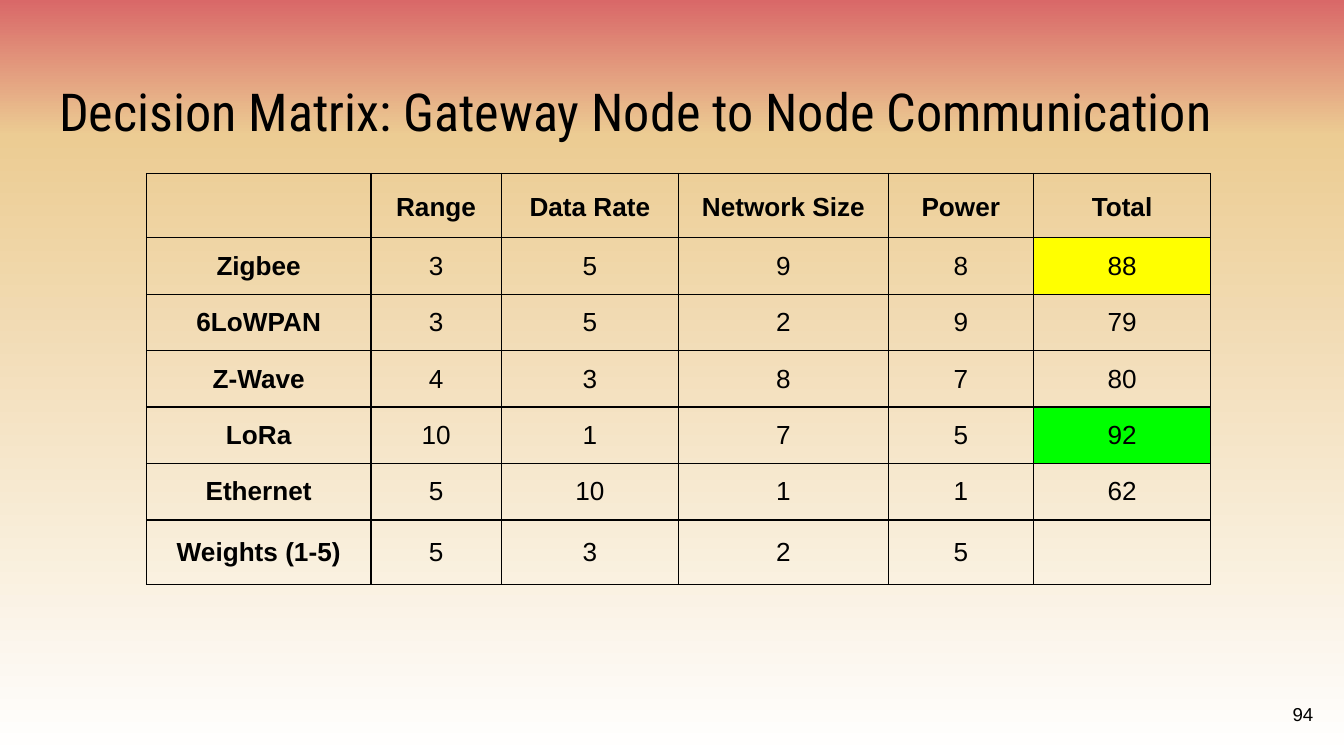
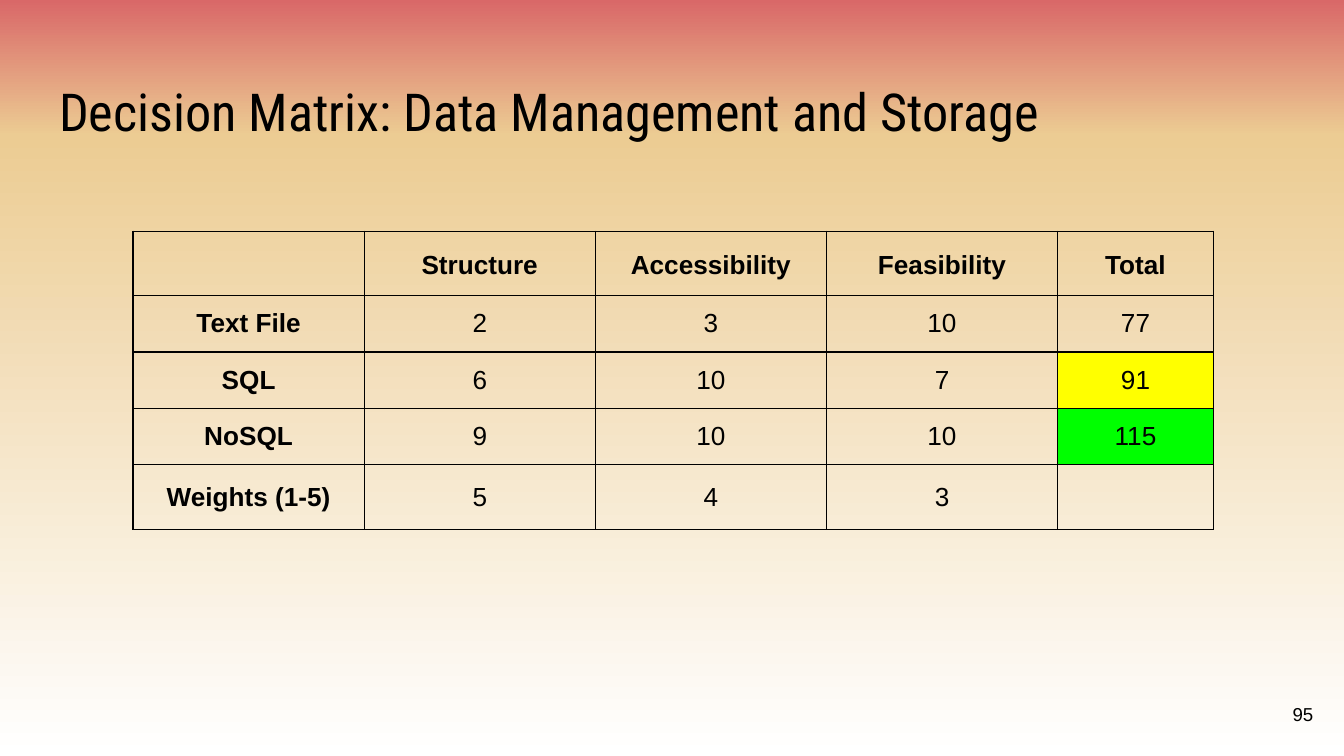
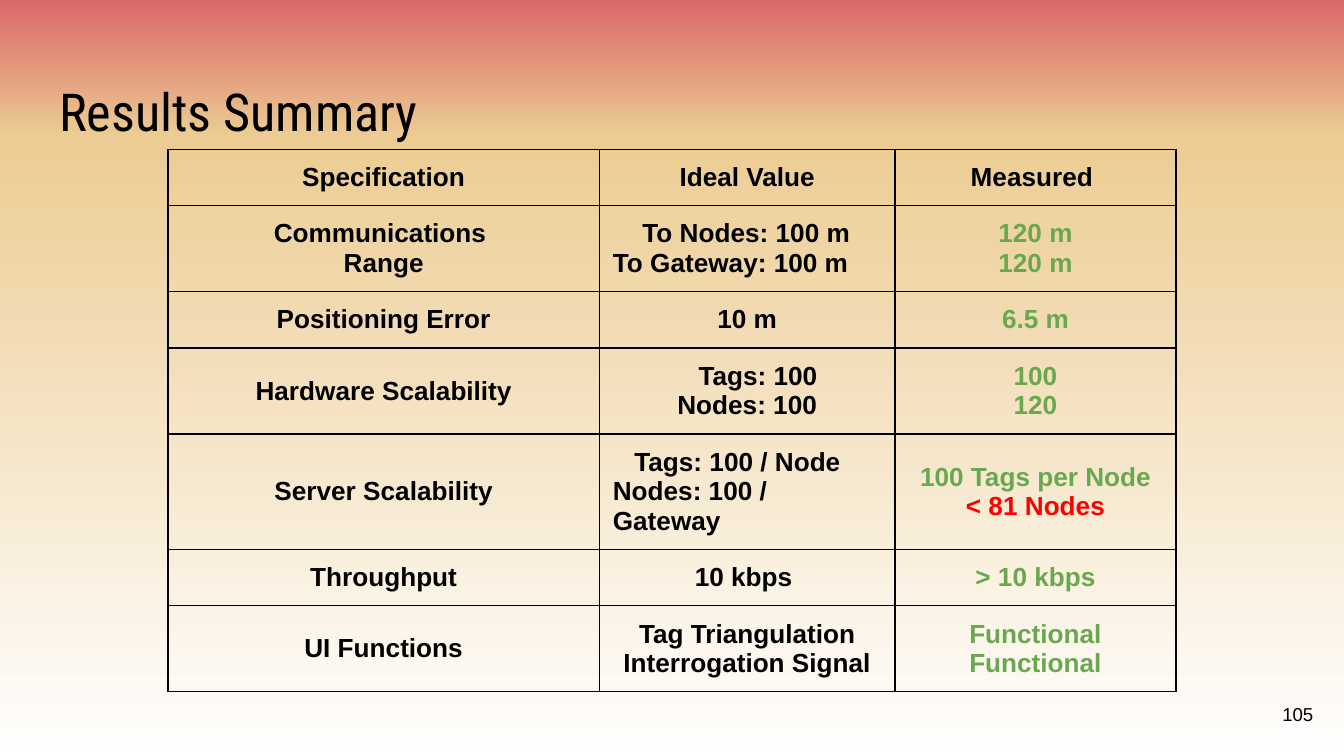
"""Build three slides of decision matrices and results."""
from copy import deepcopy
from dataclasses import dataclass

from lxml import etree
from pptx import Presentation
from pptx.dml.color import RGBColor
from pptx.enum.text import MSO_ANCHOR, MSO_AUTO_SIZE, PP_ALIGN
from pptx.oxml.ns import qn
from pptx.util import Inches, Pt

LEFT, CENTER, RIGHT = PP_ALIGN.LEFT, PP_ALIGN.CENTER, PP_ALIGN.RIGHT
TOP, MIDDLE = MSO_ANCHOR.TOP, MSO_ANCHOR.MIDDLE
FIXED = MSO_AUTO_SIZE.NONE
TITLE_ONLY = 5


@dataclass(frozen=True)
class Theme:
    """Hold the shared colours, fonts and sizes."""
    ink: str = "000000"
    good: str = "6AA84F"
    bad: str = "FF0000"
    best: str = "00FF00"
    next: str = "FFFF00"
    sky: tuple = ((0, "D96868"), (0.18, "ECCC93"), (1, "FFFFFF"))
    head: str = "Roboto Condensed"
    body: str = "Arial"
    title: int = 28
    cell: int = 14
    foot: int = 10
    rule: float = 0.75
    pad: float = 1
    line: float = 2.2
    extra: float = 0.6
    loose: float = 1.15


THEME = Theme()


@dataclass(frozen=True)
class Line:
    """Describe one paragraph of a table cell."""
    text: str
    color: str = THEME.ink
    align: PP_ALIGN = CENTER
    indent: float = 0
    bold: bool = True
    space: float = 1


def unit(count):
    """Turn grid steps, a hundred to the slide's width, into a length."""
    return Inches(count / 10)


def paint(master):
    """Give the master its gradient background."""
    fill = master.background.fill
    fill.gradient()
    fill.gradient_angle = 270
    stops = master.element.find(".//" + qn("a:gsLst"))
    stops.append(deepcopy(stops[-1]))
    for stop, (place, color) in zip(fill.gradient_stops, THEME.sky):
        stop.position = place
        stop.color.rgb = RGBColor.from_string(color)


def write(para, text, font, size, color=THEME.ink, bold=False):
    """Add one formatted run to a paragraph."""
    run = para.add_run()
    run.text = text
    run.font.name, run.font.size, run.font.bold = font, Pt(size), bold
    run.font.color.rgb = RGBColor.from_string(color)


def frame(shape, anchor):
    """Set up a text frame and return its first paragraph."""
    body = shape.text_frame
    body.word_wrap, body.auto_size = True, FIXED
    body.vertical_anchor = anchor
    body.margin_left = body.margin_right = unit(THEME.pad)
    body.margin_top = body.margin_bottom = unit(THEME.pad)
    return body.paragraphs[0]


def start(deck, title, number):
    """Add a slide with its title and page number."""
    slide = deck.slides.add_slide(deck.slide_layouts[TITLE_ONLY])
    head = slide.shapes.title
    head.left, head.top = unit(3.4), unit(4.9)
    head.width, head.height = unit(93.2), unit(6.3)
    para = frame(head, TOP)
    para.alignment = LEFT
    write(para, title, THEME.head, THEME.title)
    foot = slide.shapes.add_textbox(unit(92.7), unit(51), unit(6), unit(4.3))
    para = frame(foot, MIDDLE)
    para.alignment = RIGHT
    write(para, str(number), THEME.body, THEME.foot)
    return slide


def border(cell):
    """Draw the four edges of a cell."""
    props = cell._tc.get_or_add_tcPr()
    for side in ("a:lnL", "a:lnR", "a:lnT", "a:lnB"):
        edge = etree.SubElement(props, qn(side), w=str(Pt(THEME.rule)))
        fill = etree.SubElement(edge, qn("a:solidFill"))
        etree.SubElement(fill, qn("a:srgbClr"), val=THEME.ink)


def fill_cell(cell, lines, shade=None):
    """Write the lines of a cell and set its look."""
    border(cell)
    if shade:
        cell.fill.solid()
        cell.fill.fore_color.rgb = RGBColor.from_string(shade)
    else:
        cell.fill.background()
    cell.vertical_anchor = MIDDLE
    cell.margin_left = cell.margin_right = unit(THEME.pad)
    cell.margin_top = cell.margin_bottom = unit(THEME.pad)
    body = cell.text_frame
    if not lines:
        etree.SubElement(body.paragraphs[0]._p, qn("a:endParaRPr"),
                         sz=str(THEME.cell * 100))
    for i, line in enumerate(lines):
        para = body.add_paragraph() if i else body.paragraphs[0]
        para.alignment, para.line_spacing = line.align, line.space
        if line.indent:
            para._p.get_or_add_pPr().set("marL", str(unit(line.indent)))
        write(para, line.text, THEME.body, THEME.cell, line.color, line.bold)


def add_grid(slide, left, top, cols, rows, cells, shades):
    """Add a table from column widths, row heights and cell lines."""
    shape = slide.shapes.add_table(len(rows), len(cols), unit(left),
                                   unit(top), unit(sum(cols)),
                                   unit(sum(rows)))
    table = shape.table
    table.first_row = table.horz_banding = False
    for col, width in zip(table.columns, cols):
        col.width = unit(width)
    for row, height in zip(table.rows, rows):
        row.height = unit(height)
    for r, line in enumerate(cells):
        for c, lines in enumerate(line):
            fill_cell(table.cell(r, c), lines, shades.get((r, c)))


def tall(count):
    """Give the height of a row that holds this many lines."""
    return 2 * THEME.pad + count * THEME.line


def add_matrix(slide, left, top, cols, data, best, second):
    """Add a decision matrix with its two top totals marked."""
    rows = [tall(1)] * len(data)
    rows[0] += THEME.extra
    rows[-1] += THEME.extra
    cells = [[[Line(str(value), bold=r == 0 or c == 0,
                    space=1 if r else THEME.loose)] if value != "" else []
              for c, value in enumerate(row)] for r, row in enumerate(data)]
    last = len(cols) - 1
    shades = {(best, last): THEME.best, (second, last): THEME.next}
    add_grid(slide, left, top, cols, rows, cells, shades)


def plain(*texts):
    """Make centred lines in the ink colour."""
    return [Line(text) for text in texts]


def met(*texts):
    """Make centred lines for goals that were met."""
    return [Line(text, THEME.good) for text in texts]


def main():
    """Build the deck and save it."""
    deck = Presentation()
    deck.slide_width, deck.slide_height = unit(100), unit(56.25)
    paint(deck.slide_master)

    slide = start(deck, "Decision Matrix: Gateway Node to Node Communication",
                  94)
    add_matrix(slide, 10.9, 12.9, [16.7, 9.7, 13.2, 15.6, 10.8, 13.2], [
        ["", "Range", "Data Rate", "Network Size", "Power", "Total"],
        ["Zigbee", 3, 5, 9, 8, 88],
        ["6LoWPAN", 3, 5, 2, 9, 79],
        ["Z-Wave", 4, 3, 8, 7, 80],
        ["LoRa", 10, 1, 7, 5, 92],
        ["Ethernet", 5, 10, 1, 1, 62],
        ["Weights (1-5)", 5, 3, 2, 5, ""],
    ], best=4, second=1)

    slide = start(deck, "Decision Matrix: Data Management and Storage", 95)
    add_matrix(slide, 9.9, 17.2, [17.2] * 4 + [11.6], [
        ["", "Structure", "Accessibility", "Feasibility", "Total"],
        ["Text File", 2, 3, 10, 77],
        ["SQL", 6, 10, 7, 91],
        ["NoSQL", 9, 10, 10, 115],
        ["Weights (1-5)", 5, 4, 3, ""],
    ], best=3, second=2)

    slide = start(deck, "Results Summary", 105)
    rows = [tall(count) for count in (1, 2, 1, 2, 3, 1, 2)]
    add_grid(slide, 12.5, 11.1, [32.1, 22, 20.9], rows, [
        [plain("Specification"), plain("Ideal Value"), plain("Measured ")],
        [plain("Communications ", "Range"),
         [Line("To Nodes: 100 m", align=LEFT, indent=2.2),
          Line("To Gateway: 100 m", align=LEFT)],
         met("120 m", "120 m")],
        [plain("Positioning Error"), plain("10 m"), met("6.5 m")],
        [plain("Hardware Scalability"),
         [Line("Tags: 100", indent=1.6), Line("Nodes: 100")],
         met("100", "120")],
        [plain("Server Scalability"),
         [Line("Tags: 100 / Node", align=LEFT, indent=1.6),
          Line("Nodes: 100 / Gateway", align=LEFT)],
         met("100 Tags per Node") + [Line("< 81 Nodes", THEME.bad)]],
        [plain("Throughput"), plain("10 kbps "), met("> 10 kbps")],
        [plain("UI Functions"),
         plain("Tag Triangulation", "Interrogation Signal"),
         met("Functional", "Functional")],
    ], {})
    deck.save("out.pptx")


if __name__ == "__main__":
    main()
